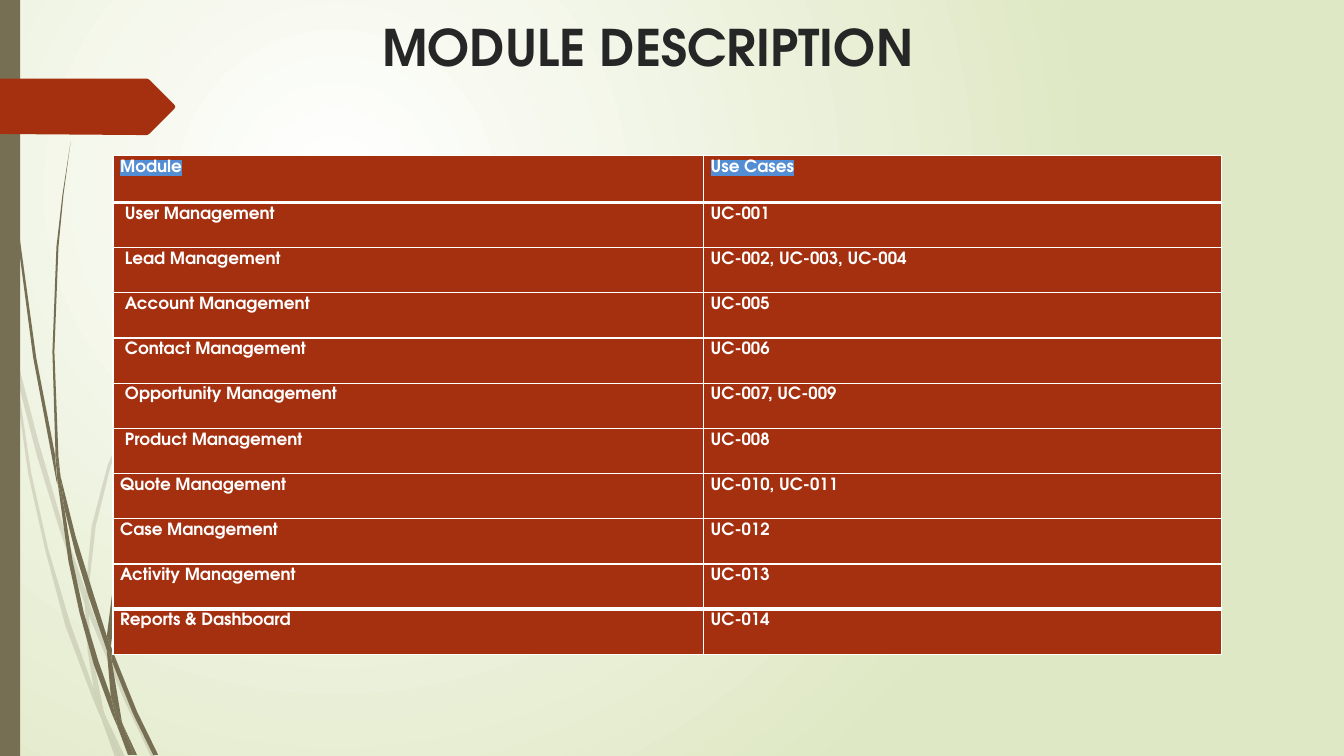
"""Build the module description slide: a use-case table beside a grass motif."""
from lxml import etree
from pptx import Presentation
from pptx.dml.color import RGBColor
from pptx.enum.shapes import MSO_SHAPE
from pptx.enum.text import MSO_ANCHOR, PP_ALIGN
from pptx.oxml.ns import qn
from pptx.util import Cm, Pt

RECTANGLE = MSO_SHAPE.RECTANGLE
TOP = MSO_ANCHOR.TOP
CENTER = PP_ALIGN.CENTER

FONT = "TeX Gyre Adventor"
WHITE = RGBColor(0xFF, 0xFF, 0xFF)
PALE_GREEN = RGBColor(0xDF, 0xE8, 0xC4)
OLIVE = RGBColor(0x76, 0x6F, 0x54)
RUST = RGBColor(0xA5, 0x30, 0x10)
INK = RGBColor(0x26, 0x26, 0x26)
HIGHLIGHT = RGBColor(0x53, 0x8D, 0xD3)

TITLE = "MODULE DESCRIPTION "
HEADER = ("Module", "Use Cases")
MODULES = [
    ("User Management", "UC-001"),
    ("Lead Management", "UC-002, UC-003, UC-004"),
    ("Account Management", "UC-005"),
    ("Contact Management", "UC-006"),
    ("Opportunity Management", "UC-007, UC-009"),
    ("Product Management", "UC-008"),
    ("Quote Management", "UC-010, UC-011"),
    ("Case Management", "UC-012"),
    ("Activity Management", "UC-013"),
    ("Reports & Dashboard", "UC-014"),
]
INDENTED_ROWS = range(1, 7)
COLUMN_WIDTHS = (Cm(14.88), Cm(13.06))
HEADER_HEIGHT, ROW_HEIGHT = Cm(1.19), Cm(1.14)
THIN, THICK = Pt(1), Pt(3)

GRID = Cm(2.54) / 100
PALE_BLADES = [
    [(11, 350), (9, 322), (0, 282), (0, 299), (10, 344)],
    [(58, 522), (84, 599), (85, 586), (62, 520), (37, 434), (14, 345), (17, 376), (36, 450)],
    [(92, 607), (88, 596), (88, 610), (123, 694), (150, 751), (155, 751), (127, 692)],
    [(119, 751), (124, 751), (105, 711)],
    [(93, 683), (70, 619), (48, 545), (31, 469), (17, 376), (11, 350), (28, 470),
     (45, 546), (65, 621), (92, 693), (101, 714), (99, 707)],
    [(84, 599), (87, 646), (93, 683), (96, 692), (105, 711), (103, 706), (91, 646),
     (88, 610), (88, 608)],
    [(88, 584), (95, 522), (110, 462), (160, 349), (229, 245), (268, 198), (290, 175),
     (312, 154), (312, 153), (289, 175), (268, 197), (228, 244), (158, 348), (107, 461),
     (91, 522), (85, 584), (85, 586), (88, 596)],
    [(101, 714), (114, 751), (119, 751)],
    [(88, 608), (88, 610), (88, 596), (85, 586), (84, 599)],
    [(96, 692), (93, 683), (99, 707), (101, 714), (119, 751), (105, 711)],
]
DARK_BLADES = [
    [(7, 110), (17, 233), (33, 355), (56, 477), (57, 481), (55, 457), (55, 453),
     (36, 355), (19, 232), (8, 109), (5, 48), (4, 0), (3, 0), (4, 48)],
    [(88, 592), (106, 645), (106, 633), (106, 631), (93, 590), (75, 532), (60, 472),
     (64, 505), (75, 549)],
    [(113, 649), (110, 641), (111, 656), (132, 708), (152, 749), (157, 749), (136, 706)],
    [(110, 691), (98, 657), (83, 607), (72, 556), (64, 505), (57, 477), (68, 557),
     (79, 608), (93, 659), (111, 708), (117, 722), (116, 717)],
    [(60, 472), (58, 453), (54, 349), (58, 245), (63, 193), (70, 141), (62, 193),
     (56, 245), (52, 349), (55, 449)],
    [(133, 749), (136, 749), (122, 719)],
    [(57, 477), (64, 505), (60, 472), (55, 449), (55, 453)],
    [(111, 633), (115, 592), (125, 552), (158, 476), (205, 406), (231, 374), (245, 359),
     (261, 344), (260, 344), (245, 358), (231, 373), (204, 405), (156, 474), (122, 551),
     (111, 591), (106, 631), (110, 641)],
    [(117, 722), (127, 749), (131, 749)],
    [(106, 645), (110, 691), (116, 706), (122, 719), (121, 716), (111, 656), (109, 651)],
    [(106, 645), (109, 651), (111, 656), (110, 641), (106, 631), (106, 633)],
    [(116, 706), (110, 691), (116, 717), (117, 722), (130, 749), (133, 749), (122, 719)],
]
BANNER = [(173, 108), (148, 133), (146, 134), (136, 134), (0, 133), (0, 78),
          (146, 78), (148, 79), (173, 104), (174, 106)]


def add_element(parent, tag, **attributes):
    return etree.SubElement(parent, qn(tag), attributes)


def paint(shape, color):
    shape.shadow.inherit = False
    shape.fill.solid()
    shape.fill.fore_color.rgb = color
    shape.line.fill.background()


def add_outline(slide, points, color, alpha=None):
    builder = slide.shapes.build_freeform(*points[0], scale=GRID)
    builder.add_line_segments(points[1:], close=True)
    shape = builder.convert_to_shape()
    paint(shape, color)
    if alpha:
        srgb = shape.element.spPr.find(qn("a:solidFill")).find(qn("a:srgbClr"))
        add_element(srgb, "a:alpha", val=str(alpha * 1000))


def set_background(slide):
    fill = slide.background.fill
    fill.gradient()
    for stop, color, position in zip(fill.gradient_stops, (WHITE, PALE_GREEN), (0, 1)):
        stop.color.rgb = color
        stop.position = position
    gradient = next(slide.element.iter(qn("a:gradFill")))
    gradient.remove(gradient.find(qn("a:lin")))
    circle = add_element(gradient, "a:path", path="circle")
    add_element(circle, "a:fillToRect", l="50000", t="50000", r="100000", b="100000")


def set_font(paragraph, size, color):
    font = paragraph.font
    font.name, font.size, font.bold = FONT, size, True
    font.color.rgb = color


def set_borders(cell, top, bottom):
    properties = cell._tc.get_or_add_tcPr()
    widths = {"a:lnL": THIN, "a:lnR": THIN, "a:lnT": top, "a:lnB": bottom}
    for index, (side, width) in enumerate(widths.items()):
        border = add_element(properties, side, w=str(width))
        add_element(add_element(border, "a:solidFill"), "a:srgbClr", val=str(WHITE))
        properties.insert(index, border)


def fill_cell(cell, text, row, column):
    last = len(MODULES)
    cell.margin_left = cell.margin_right = cell.margin_top = cell.margin_bottom = 0
    cell.fill.solid()
    cell.fill.fore_color.rgb = RUST
    set_borders(cell, THICK if row in (1, last) else THIN,
                THICK if row in (0, last - 1) else THIN)
    paragraph = cell.text_frame.paragraphs[0]
    run = paragraph.add_run()
    run.text = text
    paragraph.line_spacing = Pt(14.3 if row else 14.6)
    indent = Cm(0.3) if column == 0 and row in INDENTED_ROWS else Cm(0.18)
    paragraph._p.get_or_add_pPr().set("marL", str(indent))
    set_font(paragraph, Pt(12), WHITE)
    if row == 0:
        mark = add_element(run._r.get_or_add_rPr(), "a:highlight")
        add_element(mark, "a:srgbClr", val=str(HIGHLIGHT))


def add_modules(slide):
    rows = [HEADER] + MODULES
    table = slide.shapes.add_table(
        len(rows), len(HEADER), Cm(2.85), Cm(3.91), sum(COLUMN_WIDTHS),
        HEADER_HEIGHT + ROW_HEIGHT * len(MODULES)).table
    for column, width in zip(table.columns, COLUMN_WIDTHS):
        column.width = width
    for row, texts in enumerate(rows):
        table.rows[row].height = ROW_HEIGHT if row else HEADER_HEIGHT
        for column, text in enumerate(texts):
            fill_cell(table.cell(row, column), text, row, column)


def add_title(slide):
    frame = slide.shapes.add_textbox(Cm(1.9), Cm(0.28), Cm(29.21), Cm(2.24)).text_frame
    frame.word_wrap = True
    frame.vertical_anchor = TOP
    paragraph = frame.paragraphs[0]
    paragraph.text = TITLE
    paragraph.alignment = CENTER
    set_font(paragraph, Pt(36), INK)


def main():
    presentation = Presentation()
    presentation.slide_width, presentation.slide_height = Cm(33.87), Cm(19.05)
    slide = presentation.slides.add_slide(presentation.slide_layouts[6])
    set_background(slide)
    for blade in PALE_BLADES:
        add_outline(slide, blade, OLIVE, alpha=20)
    for blade in DARK_BLADES:
        add_outline(slide, blade, OLIVE)
    paint(slide.shapes.add_shape(RECTANGLE, 0, 0, Cm(0.51), Cm(19.05)), OLIVE)
    add_outline(slide, BANNER, RUST)
    add_title(slide)
    add_modules(slide)
    presentation.save("out.pptx")


if __name__ == "__main__":
    main()
